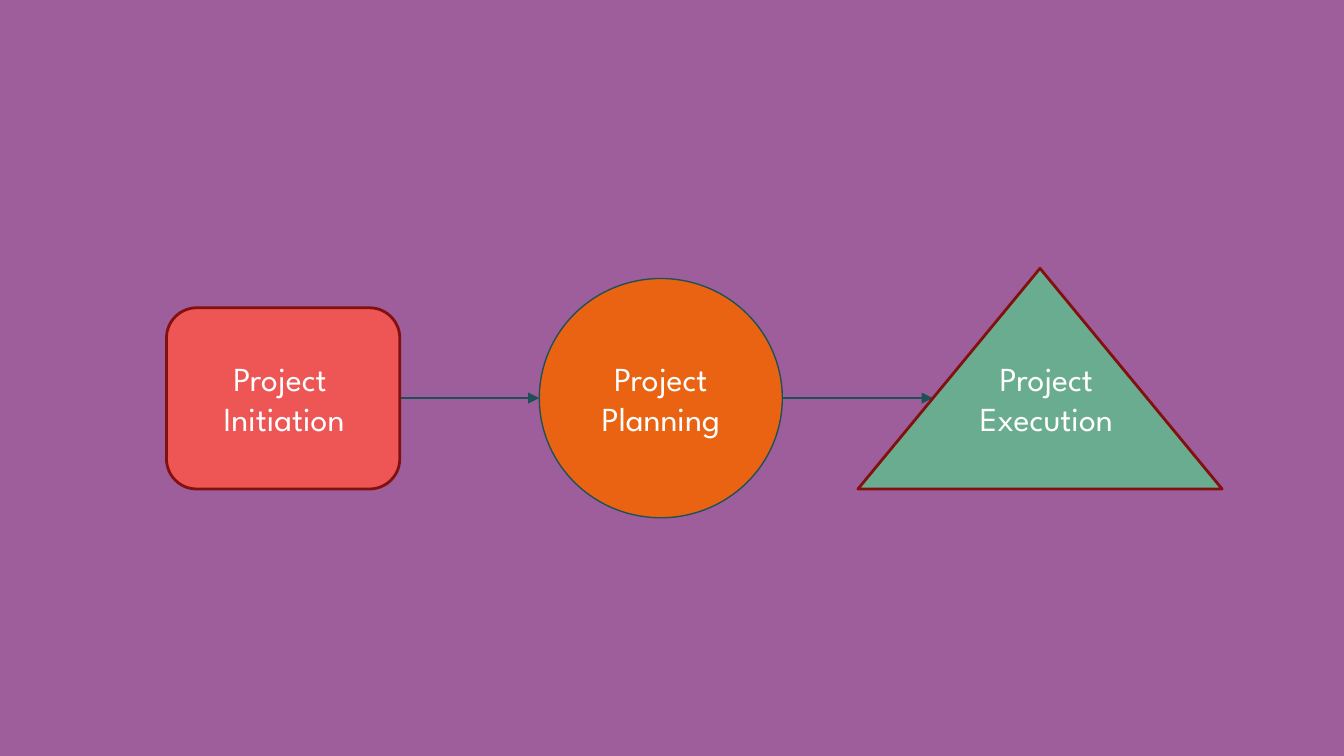
from lxml import etree
from pptx import Presentation
from pptx.dml.color import RGBColor
from pptx.enum.shapes import MSO_CONNECTOR, MSO_SHAPE
from pptx.enum.text import MSO_ANCHOR, PP_ALIGN
from pptx.oxml.ns import qn
from pptx.util import Pt

RECT = MSO_SHAPE.RECTANGLE
ROUNDED = MSO_SHAPE.ROUNDED_RECTANGLE
OVAL = MSO_SHAPE.OVAL
TRIANGLE = MSO_SHAPE.ISOSCELES_TRIANGLE
STRAIGHT = MSO_CONNECTOR.STRAIGHT
CENTER = PP_ALIGN.CENTER
MIDDLE = MSO_ANCHOR.MIDDLE

PURPLE = RGBColor(0x9E, 0x5E, 0x9B)
ORANGE = RGBColor(0xEA, 0x63, 0x12)
CORAL = RGBColor(0xED, 0x56, 0x54)
GREEN = RGBColor(0x6A, 0xAC, 0x90)
TEAL = RGBColor(0x1E, 0x51, 0x55)
DARK_RED = RGBColor(0x82, 0x10, 0x0E)
WHITE = RGBColor(0xFF, 0xFF, 0xFF)

FONT = "League Spartan"
SLIDE_W, SLIDE_H = 720, 405
FLOW_Y = 213.3
LABEL_TOP, LABEL_H = 188, 51


def add_box(slide, kind, left, top, width, height, fill, line=None, weight=0):
    sp = slide.shapes.add_shape(kind, Pt(left), Pt(top), Pt(width), Pt(height))
    sp.shadow.inherit = False
    sp.fill.solid()
    sp.fill.fore_color.rgb = fill
    if line is None:
        sp.line.fill.background()
    else:
        sp.line.color.rgb = line
        sp.line.width = Pt(weight)
    return sp


def write_text(sp, *lines):
    """Fill a shape with centred white paragraphs."""
    tf = sp.text_frame
    tf.word_wrap = True
    tf.text = "\n".join(lines)
    for p in tf.paragraphs:
        p.alignment = CENTER
        p.font.name = FONT
        p.font.size = Pt(18)
        p.font.color.rgb = WHITE


def add_label(slide, left, width, *lines):
    sp = slide.shapes.add_textbox(Pt(left), Pt(LABEL_TOP), Pt(width), Pt(LABEL_H))
    write_text(sp, *lines)


def add_arrow(slide, start, end):
    """Draw a horizontal arrow along the flow line."""
    c = slide.shapes.add_connector(STRAIGHT, Pt(start), Pt(FLOW_Y), Pt(end), Pt(FLOW_Y))
    c.line.color.rgb = TEAL
    c.line.width = Pt(0.75)
    etree.SubElement(c.line._get_or_add_ln(), qn("a:tailEnd"), type="triangle")
    etree.SubElement(c._element.spPr, qn("a:effectLst"))


def main():
    prs = Presentation()
    prs.slide_width, prs.slide_height = Pt(SLIDE_W), Pt(SLIDE_H)
    slide = prs.slides.add_slide(prs.slide_layouts[6])
    add_box(slide, RECT, 0, 0, SLIDE_W, SLIDE_H, PURPLE)

    planning = add_box(slide, OVAL, 288.9, 149.2, 130.2, 128.2, ORANGE, TEAL, 0.75)
    planning.text_frame.vertical_anchor = MIDDLE
    write_text(planning, "Project Planning")

    add_arrow(slide, 214.2, 288.9)
    add_arrow(slide, 419.1, 499.7)

    add_box(slide, ROUNDED, 89.2, 164.9, 125, 97.1, CORAL, DARK_RED, 1.5)
    add_label(slide, 105.8, 92.9, "Project ", "Initiation")

    add_box(slide, TRIANGLE, 459.6, 143.8, 195.1, 118.2, GREEN, DARK_RED, 1.5)
    add_label(slide, 509.8, 101.5, "Project", "Execution")

    prs.save("out.pptx")


if __name__ == "__main__":
    main()
